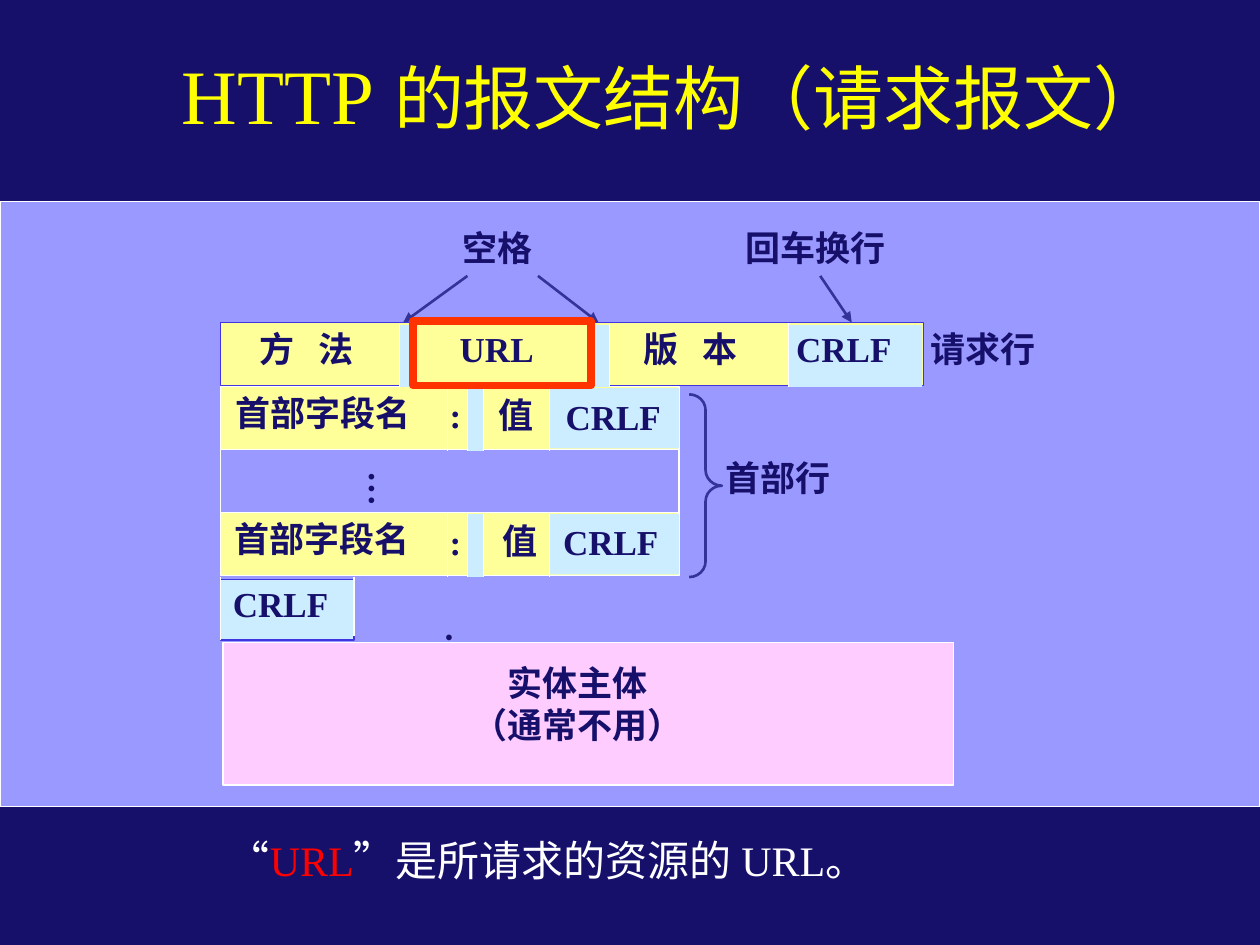
from lxml import etree
from pptx import Presentation
from pptx.dml.color import RGBColor
from pptx.enum.shapes import MSO_CONNECTOR, MSO_SHAPE
from pptx.enum.text import MSO_ANCHOR, MSO_AUTO_SIZE, PP_ALIGN
from pptx.oxml.ns import qn
from pptx.util import Pt

PX = 9144
RECTANGLE = MSO_SHAPE.RECTANGLE
BRACE = MSO_SHAPE.RIGHT_BRACE
STRAIGHT = MSO_CONNECTOR.STRAIGHT
MIDDLE = MSO_ANCHOR.MIDDLE
FIT_TEXT = MSO_AUTO_SIZE.SHAPE_TO_FIT_TEXT
LEFT, CENTER = PP_ALIGN.LEFT, PP_ALIGN.CENTER

NAVY = RGBColor(0x16, 0x10, 0x6B)
PERIWINKLE = RGBColor(0x99, 0x99, 0xFF)
CREAM = RGBColor(0xFF, 0xFF, 0x99)
ICE = RGBColor(0xCC, 0xEC, 0xFF)
PINK = RGBColor(0xFF, 0xCC, 0xFF)
WHITE = RGBColor(0xFF, 0xFF, 0xFF)
BLUE = RGBColor(0x40, 0x35, 0xE1)
INDIGO = RGBColor(0x33, 0x33, 0x99)
ORANGE = RGBColor(0xFF, 0x33, 0x00)
RED = RGBColor(0xFF, 0x00, 0x00)
YELLOW = RGBColor(0xFF, 0xFF, 0x01)

SERIF, SANS = "Times New Roman", "Arial"


class Page:
    def __init__(self, deck):
        self.slide = deck.slides.add_slide(deck.slide_layouts[6])
        self.slide.background.fill.solid()
        self.slide.background.fill.fore_color.rgb = NAVY

    def shape(self, left, top, width, height, fill=None, line=None, weight=0.75, kind=RECTANGLE):
        shape = self.slide.shapes.add_shape(kind, left * PX, top * PX, width * PX, height * PX)
        shape.shadow.inherit = False
        if fill is None:
            shape.fill.background()
        else:
            shape.fill.solid()
            shape.fill.fore_color.rgb = fill
        if line is None:
            shape.line.fill.background()
        else:
            shape.line.color.rgb = line
            shape.line.width = Pt(weight)
        return shape

    def line(self, x1, y1, x2, y2, color=WHITE, weight=0.75, arrow=False):
        connector = self.slide.shapes.add_connector(STRAIGHT, x1 * PX, y1 * PX, x2 * PX, y2 * PX)
        connector.line.color.rgb = color
        connector.line.width = Pt(weight)
        if arrow:
            etree.SubElement(connector.line._get_or_add_ln(), qn("a:tailEnd"), type="triangle")
        etree.SubElement(connector._element.spPr, qn("a:effectLst"))

    def box(self, left, top, width, height):
        box = self.slide.shapes.add_textbox(left * PX, top * PX, width * PX, height * PX)
        box.text_frame.word_wrap = True
        return box

    def label(self, text, left, top, width, height=44, align=LEFT):
        box = self.box(left, top, width, height)
        frame = box.text_frame
        frame.auto_size = FIT_TEXT
        frame.margin_right = 0
        if align == CENTER:
            frame.margin_left = 0
        frame.text = text
        for para in frame.paragraphs:
            para.alignment = align
            para.font.size = Pt(20)
            para.font.bold = True
            para.font.name = SERIF
            para.font.color.rgb = NAVY
        return box

    def spans(self, para, *spans):
        for text, size, name, color in spans:
            span = para.add_run()
            span.text = text
            span.font.size = Pt(size)
            span.font.name = name
            span.font.color.rgb = color


def draw_cells(page):
    page.shape(0, 160, 1000, 480, PERIWINKLE, WHITE)
    for top in (407, 307):
        page.shape(175, top, 364, 50, CREAM, WHITE)
        page.shape(371, top + 1, 13, 50, ICE)
        page.shape(436, top + 1, 103, 48, ICE)
        for x in (355, 371, 384, 436):
            page.line(x, top, x, top + 51)
    page.shape(175, 256, 558, 50, CREAM, BLUE)
    for left, width in ((317, 13), (471, 13), (626, 106)):
        page.shape(left, 258, width, 49, ICE)
    for x in (317, 329, 471, 484, 626):
        page.line(x, 256, x, 307)
    page.shape(175, 460, 106, 48, ICE, BLUE)
    for x, top, bottom in ((175, 357, 407), (539, 357, 407), (175, 458, 508), (281, 458, 505)):
        page.line(x, top, x, bottom)


def draw_labels(page):
    for text, left, width in (("方   法", 196, 94), ("URL", 355, 79), ("版   本", 501, 94),
                              ("CRLF", 622, 96), ("请求行", 729, 103)):
        page.label(text, left, 255, width)
    for text, left, top, width in (
        ("首部字段名", 177, 306, 159), ("值", 386, 307, 48), ("CRLF", 439, 309, 96),
        ("首部字段名", 176, 406, 159), ("值", 389, 407, 48), ("CRLF", 437, 408, 99),
        (":", 347, 307, 29), (":", 347, 408, 29), (":", 342, 484, 29),
        ("首部行", 566, 357, 103), ("CRLF", 175, 457, 97),
        ("空格", 357, 175, 75), ("回车换行", 582, 175, 131),
    ):
        page.label(text, left, top, width)
    page.label("…", 262, 366, 48).rotation = 270


def draw_marks(page):
    brace = page.shape(547, 313, 26, 145, line=INDIGO, weight=1.5, kind=BRACE)
    brace.adjustments[0] = 0.48
    for x1, x2 in ((427, 475), (371, 320), (651, 676)):
        page.line(x1, 219, x2, 256, INDIGO, 1.5, arrow=True)
    page.shape(177, 510, 580, 113, PINK, WHITE)
    page.label("实体主体\n（通常不用）", 365, 520, 187, 77, CENTER)
    page.shape(328, 255, 141, 51, line=ORANGE, weight=4.5)


def draw_captions(page):
    title = page.box(114, 36, 852, 77).text_frame
    title.vertical_anchor = MIDDLE
    title.paragraphs[0].alignment = CENTER
    page.spans(title.paragraphs[0], ("HTTP", 44, SERIF, YELLOW),
               (" 的报文结构（请求报文） ", 40, SANS, YELLOW))
    note = page.box(171, 649, 591, 58).text_frame.paragraphs[0]
    note.line_spacing = 1.2
    properties = note._p.get_or_add_pPr()
    properties.set("marL", str(53 * PX))
    properties.set("indent", str(-53 * PX))
    page.spans(note, ("“", 24, SERIF, WHITE), ("URL", 24, SERIF, RED),
               ("”是所请求的资源的 URL。", 24, SERIF, WHITE))


def main():
    deck = Presentation()
    deck.slide_width, deck.slide_height = 1000 * PX, 750 * PX
    page = Page(deck)
    draw_cells(page)
    draw_labels(page)
    draw_marks(page)
    draw_captions(page)
    deck.save("out.pptx")


if __name__ == "__main__":
    main()
